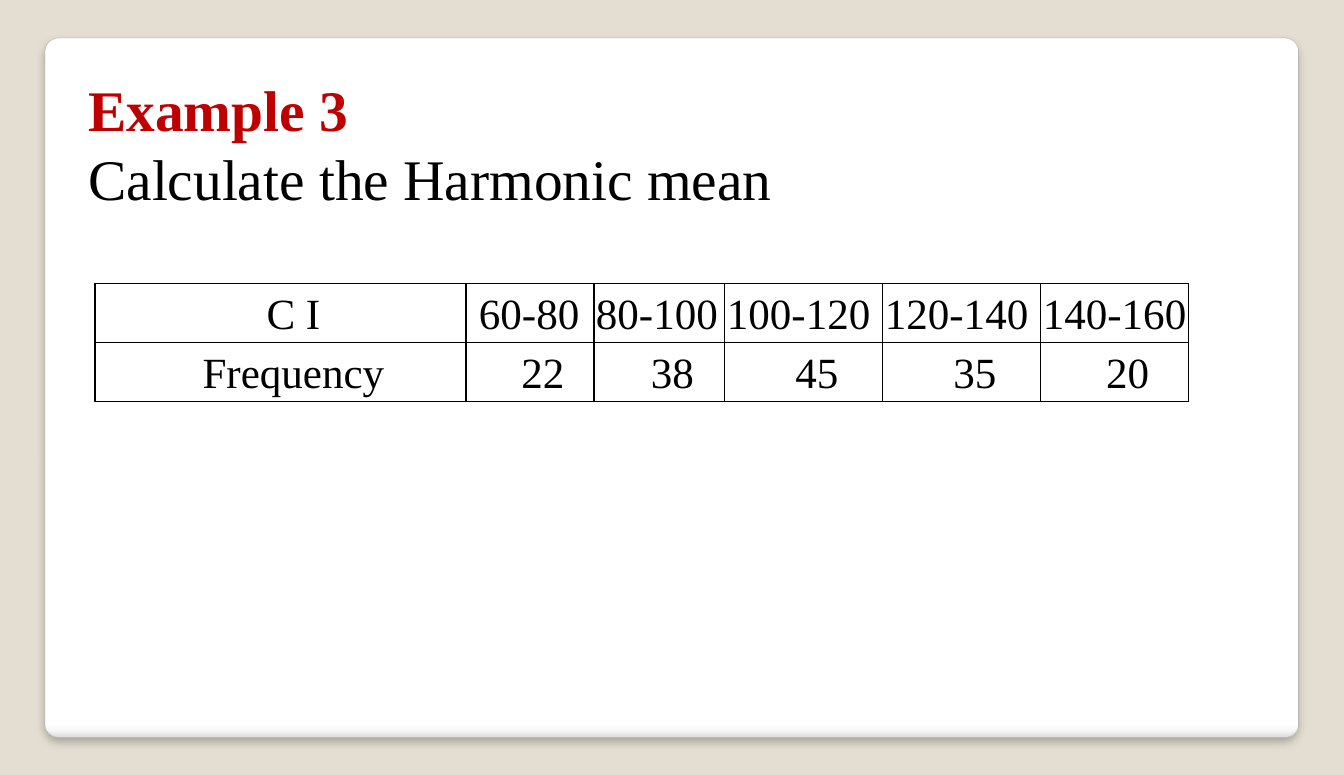
from lxml import etree
from pptx import Presentation
from pptx.dml.color import RGBColor
from pptx.enum.shapes import MSO_SHAPE
from pptx.enum.text import MSO_ANCHOR, MSO_AUTO_SIZE, PP_ALIGN
from pptx.oxml import parse_xml
from pptx.oxml.ns import nsdecls, qn
from pptx.util import Emu, Inches, Pt

ROUNDED = MSO_SHAPE.ROUNDED_RECTANGLE
TOP, NO_FIT = MSO_ANCHOR.TOP, MSO_AUTO_SIZE.NONE
LEFT, CENTER = PP_ALIGN.LEFT, PP_ALIGN.CENTER

BEIGE = RGBColor(0xE3, 0xDE, 0xD1)
EDGE_GRAY = RGBColor(0xA4, 0xA4, 0xA4)
RED = RGBColor(0xC0, 0x00, 0x00)
BLACK = RGBColor(0x00, 0x00, 0x00)
CARD_STOPS = [(0, "FFFFFF"), (98, "FFFFFF"), (99, "F7F7F7"), (100, "DADADA")]
FONT = "Times New Roman"

COLUMN_WIDTHS = [371, 128, 131, 158, 158, 148]
CLASSES = ["C I", "60-80", "80-100", "100-120", "120-140", "140-160"]
FREQUENCIES = ["Frequency", "22", "38", "45", "35", "20"]


def px(n):
    return Emu(round(n * 914400 / 103.4))


def set_font(p, size, color, bold=False):
    p.font.name, p.font.size = FONT, Pt(size)
    p.font.color.rgb, p.font.bold = color, bold


def add_card(slide, x, y, w, h):
    sp = slide.shapes.add_shape(ROUNDED, px(x), px(y), px(w), px(h))
    sp.adjustments[0] = 0.02
    sp.line.color.rgb, sp.line.width = EDGE_GRAY, Pt(0.16)
    # Gradient fill and soft shadow
    stops = "".join(f'<a:gs pos="{pos * 1000}"><a:srgbClr val="{color}"/></a:gs>'
                    for pos, color in CARD_STOPS)
    sp.element.spPr.find(qn("a:prstGeom")).addnext(parse_xml(
        f'<a:gradFill {nsdecls("a")} rotWithShape="1"><a:gsLst>{stops}</a:gsLst>'
        '<a:lin ang="5400000" scaled="0"/></a:gradFill>'))
    sp.element.spPr.append(parse_xml(
        f'<a:effectLst {nsdecls("a")}><a:outerShdw blurRad="{Pt(6)}" dist="{Pt(4)}" '
        'dir="5400000" algn="tl" rotWithShape="0"><a:srgbClr val="000000">'
        '<a:alpha val="25000"/></a:srgbClr></a:outerShdw></a:effectLst>'))
    # Keep the card behind the title
    slide.shapes.title.element.addprevious(sp.element)


def place_title(slide, x, y, w, h):
    title = slide.shapes.title
    title.left, title.top, title.width, title.height = px(x), px(y), px(w), px(h)
    tf = title.text_frame
    tf.text = "Example 3\nCalculate the Harmonic mean"
    tf.word_wrap, tf.auto_size, tf.vertical_anchor = True, NO_FIT, TOP
    for p, color, bold in zip(tf.paragraphs, (RED, BLACK), (True, False)):
        p.alignment = LEFT
        set_font(p, 40, color, bold)


def add_borders(cell):
    tcPr = cell._tc.get_or_add_tcPr()
    for i, side in enumerate(("lnL", "lnR", "lnT", "lnB")):
        ln = etree.Element(qn(f"a:{side}"), w=str(Pt(1)))
        fill = etree.SubElement(ln, qn("a:solidFill"))
        etree.SubElement(fill, qn("a:srgbClr"), val=str(BLACK))
        tcPr.insert(i, ln)


def add_frequency_table(slide, x, y, row_height):
    rows = [CLASSES, FREQUENCIES]
    table = slide.shapes.add_table(
        len(rows), len(COLUMN_WIDTHS), px(x), px(y),
        px(sum(COLUMN_WIDTHS)), px(row_height * len(rows))).table
    table.first_row = table.horz_banding = False
    for column, width in zip(table.columns, COLUMN_WIDTHS):
        column.width = px(width)
    for r, values in enumerate(rows):
        table.rows[r].height = px(row_height)
        for c, value in enumerate(values):
            cell = table.cell(r, c)
            cell.text = value
            centered = r == 1 or c == 0
            # Centred cells and the first class are indented
            cell.margin_left = px(28 if centered else 13 if c == 1 else 2)
            cell.margin_right = px(2)
            cell.margin_top = cell.margin_bottom = 0
            cell.fill.background()
            add_borders(cell)
            p = cell.text_frame.paragraphs[0]
            p.alignment = CENTER if centered else LEFT
            p.line_spacing = 1.15
            set_font(p, 30, BLACK)


prs = Presentation()
prs.slide_width, prs.slide_height = Inches(13), Inches(7.5)
slide = prs.slides.add_slide(prs.slide_layouts[5])
slide.background.fill.solid()
slide.background.fill.fore_color.rgb = BEIGE

add_card(slide, 45, 38, 1254, 700)
place_title(slide, 78, 69, 1172, 150)
add_frequency_table(slide, 95, 284, 59)

prs.save("out.pptx")
